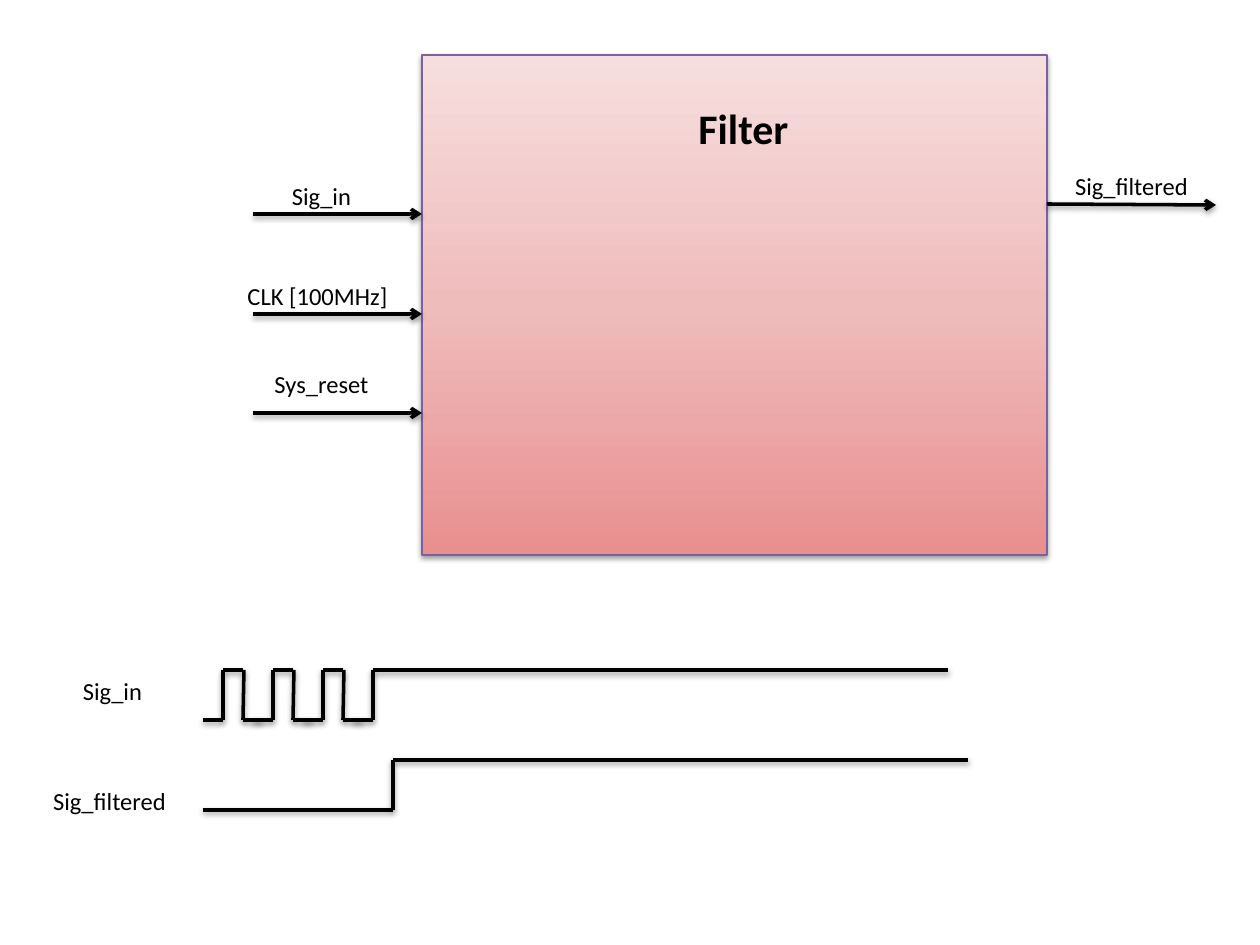
import lxml.etree
import pptx
import pptx.dml.color
import pptx.enum.shapes
import pptx.enum.text
import pptx.oxml.ns
import pptx.util
import copy

BLACK = pptx.dml.color.RGBColor(0x00, 0x00, 0x00)
PURPLE = pptx.dml.color.RGBColor(0x7D, 0x60, 0xA0)
ROSE = pptx.dml.color.RGBColor(0xE9, 0x8F, 0x8F)
PINK = pptx.dml.color.RGBColor(0xEF, 0xBC, 0xBC)
PALE_PINK = pptx.dml.color.RGBColor(0xF7, 0xDE, 0xDE)

qn = pptx.oxml.ns.qn
presentation = pptx.Presentation()
presentation.slide_width = pptx.util.Inches(10)
presentation.slide_height = pptx.util.Inches(7.5)
slide = presentation.slides.add_slide(presentation.slide_layouts[6])

# Square grid: 126 columns across the slide, rows of the same size.
CELL = presentation.slide_width / 126


def add_shadow(properties):
    """Append a soft shadow falling straight down to a shape's spPr."""
    effects = lxml.etree.SubElement(properties, qn("a:effectLst"))
    shadow = lxml.etree.SubElement(
        effects, qn("a:outerShdw"), blurRad="40000", dist="20000",
        dir="5400000", rotWithShape="0")
    color = lxml.etree.SubElement(shadow, qn("a:srgbClr"), val="000000")
    lxml.etree.SubElement(color, qn("a:alpha"), val="38000")


def add_wire(x1, y1, x2, y2, arrow=False):
    """Draw a shadowed line between two grid points."""
    wire = slide.shapes.add_connector(
        pptx.enum.shapes.MSO_CONNECTOR.STRAIGHT,
        *(round(value * CELL) for value in (x1, y1, x2, y2)))
    wire.line.color.rgb = BLACK
    wire.line.width = pptx.util.Pt(2)
    if arrow:
        lxml.etree.SubElement(wire.line._get_or_add_ln(), qn("a:tailEnd"), type="arrow")
    add_shadow(wire._element.spPr)


# Filter block
BLOCK_LEFT, BLOCK_TOP, BLOCK_WIDTH, BLOCK_HEIGHT = 42.2, 5.5, 62.5, 50
block = slide.shapes.add_shape(
    pptx.enum.shapes.MSO_SHAPE.RECTANGLE,
    *(round(value * CELL) for value in (BLOCK_LEFT, BLOCK_TOP, BLOCK_WIDTH, BLOCK_HEIGHT)))
block.fill.gradient()
block.fill.gradient_angle = 90
stop_list = block._element.spPr.find(".//" + qn("a:gsLst"))
stop_list.append(copy.deepcopy(stop_list[0]))
for stop, position, color in zip(block.fill.gradient_stops, (0, 0.5, 1), (ROSE, PINK, PALE_PINK)):
    stop.position = position
    stop.color.rgb = color
block.line.color.rgb = PURPLE
block.line.width = pptx.util.Pt(0.75)
add_shadow(block._element.spPr)

# Ports of the block
ARROW_LENGTH = 16.9
BLOCK_RIGHT = BLOCK_LEFT + BLOCK_WIDTH
for row in (21.4, 31.4, 41.3):
    add_wire(BLOCK_LEFT - ARROW_LENGTH, row, BLOCK_LEFT, row, arrow=True)
add_wire(BLOCK_RIGHT, 20.4, BLOCK_RIGHT + ARROW_LENGTH, 20.5, arrow=True)

# Bouncing input signal: three pulses, then a steady high level
SIGNAL_START, PULSES, PERIOD, HALF_PULSE = 20.3, 3, 5, 2
HIGH_LENGTH = 57.5
input_high, input_low = 67, 72
for pulse in range(PULSES):
    start = SIGNAL_START + pulse * PERIOD
    rise = start + HALF_PULSE
    fall = rise + HALF_PULSE
    add_wire(start, input_low, rise, input_low)
    add_wire(rise, input_low, rise, input_high)
    add_wire(rise, input_high, fall, input_high)
    add_wire(fall + 0.1, input_high, fall, input_low)
    add_wire(fall, input_low, fall + HALF_PULSE, input_low)
settle = SIGNAL_START + PULSES * PERIOD

# Last step of the input, and the single step of the filtered output
for start, rise, high, low in (
    (settle, settle + HALF_PULSE, input_high, input_low),
    (SIGNAL_START, settle + 2 * HALF_PULSE, 76, 81),
):
    add_wire(start, low, rise, low)
    add_wire(rise, low, rise, high)
    add_wire(rise, high, rise + HIGH_LENGTH, high)

# Labels: text, left, top, width, height, size, bold
for text, left, top, width, height, size, bold in (
    ("Filter", 60, 9.6, 28.7, 6.3, 24, True),
    ("Sig_in", 25.3, 17.5, 13.7, 4.3, 14, False),
    ("CLK [100MHz]", 23.3, 27.5, 16.9, 4.3, 14, False),
    ("Sys_reset", 25.3, 36.3, 13.7, 4.3, 14, False),
    ("Sig_filtered", 105.7, 16.5, 14.9, 4.3, 14, False),
    ("Sig_in", 4.4, 67, 13.7, 4.3, 14, False),
    ("Sig_filtered", 3.5, 78, 14.9, 4.3, 14, False),
):
    label = slide.shapes.add_textbox(*(round(value * CELL) for value in (left, top, width, height)))
    frame = label.text_frame
    frame.word_wrap = True
    frame.auto_size = pptx.enum.text.MSO_AUTO_SIZE.SHAPE_TO_FIT_TEXT
    frame.text = text
    paragraph = frame.paragraphs[0]
    paragraph.alignment = pptx.enum.text.PP_ALIGN.CENTER
    paragraph._p.get_or_add_pPr().set("rtl", "1")
    font = paragraph.runs[0].font
    font.name = "Calibri"
    font.size = pptx.util.Pt(size)
    font.bold = bold
    font.color.rgb = BLACK

presentation.save("out.pptx")
